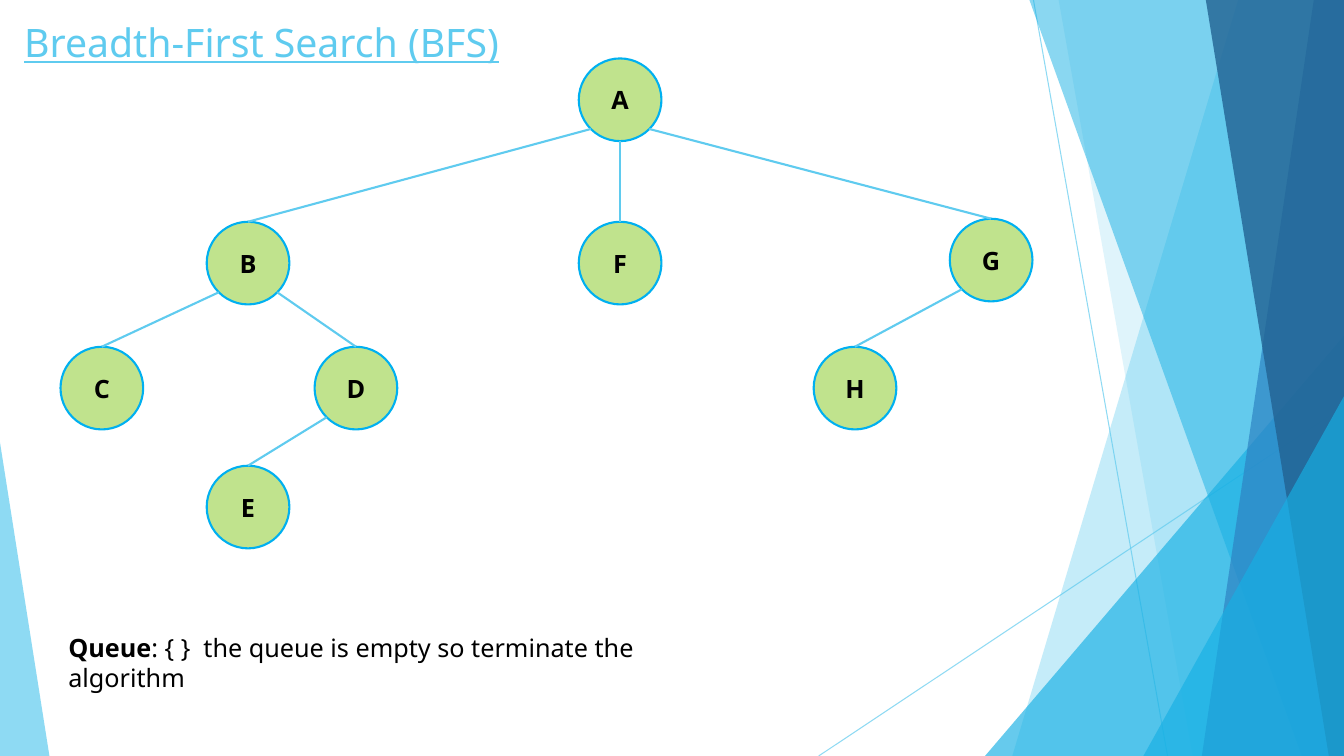
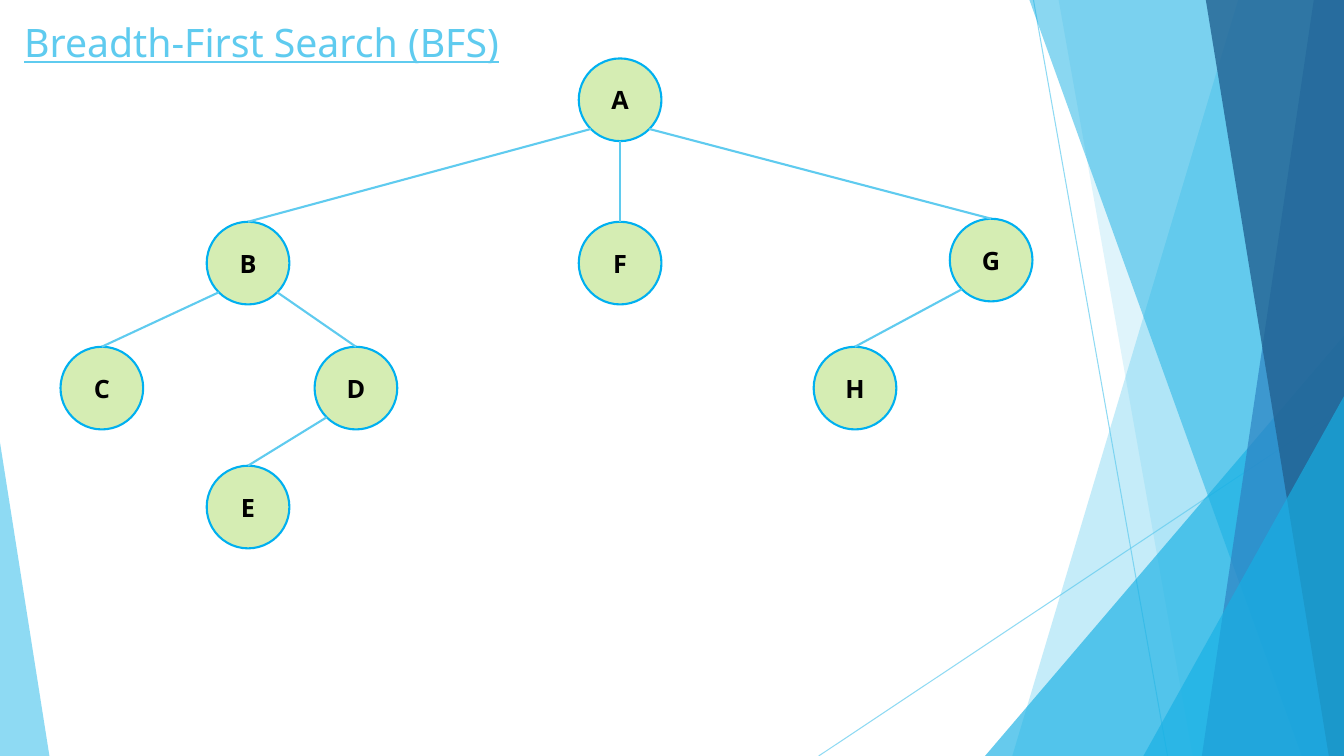
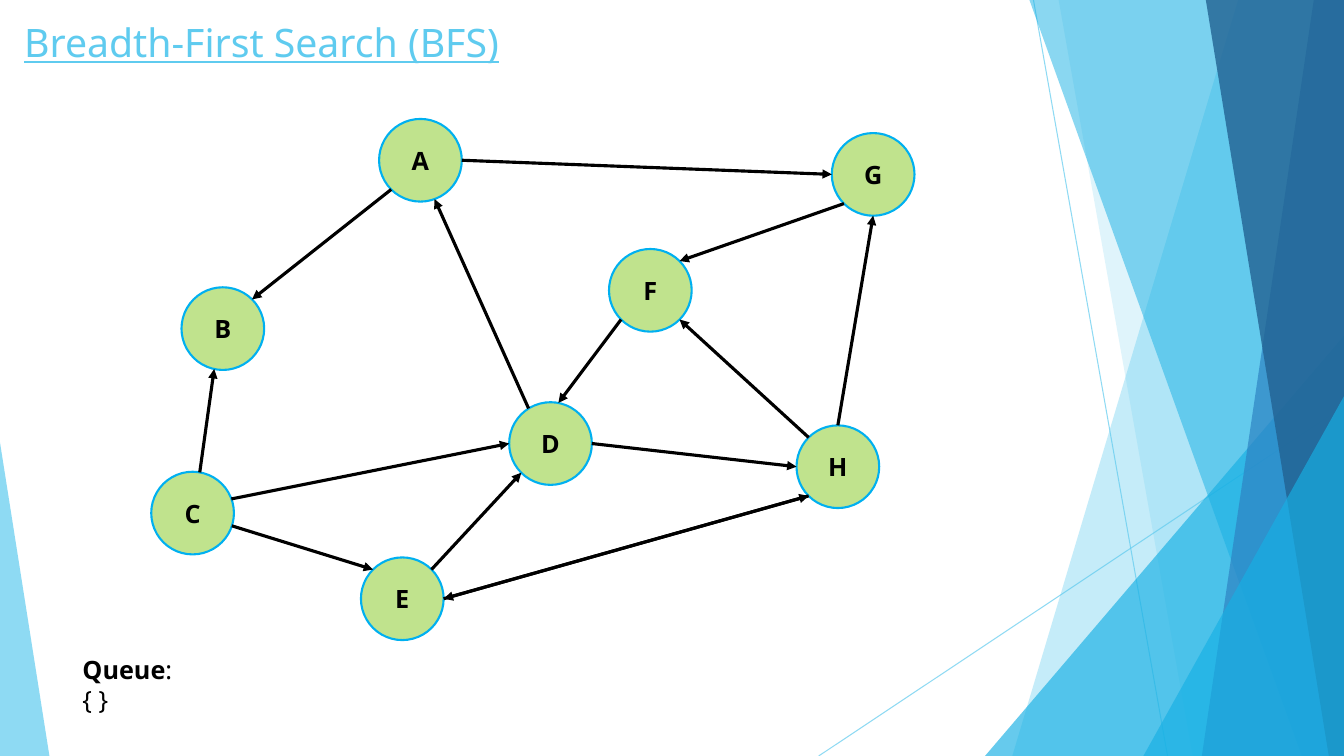
from math import cos, radians, sin

from pptx import Presentation
from pptx.dml.color import RGBColor
from pptx.enum.shapes import MSO_CONNECTOR as Connector, MSO_SHAPE as Shape
from pptx.enum.text import MSO_ANCHOR as Anchor, PP_ALIGN as Align
from pptx.oxml.ns import qn
from pptx.util import Inches, Pt

FONT = "Noto Sans"
BLACK = RGBColor(0x00, 0x00, 0x00)
SKY = RGBColor(0x5F, 0xCB, 0xEF)
CYAN = RGBColor(0x17, 0xB0, 0xE4)
BLUE = RGBColor(0x2E, 0x83, 0xC3)
NAVY = RGBColor(0x22, 0x62, 0x92)
RING = RGBColor(0x00, 0xB0, 0xF0)
GREEN = RGBColor(0xC0, 0xE3, 0x8D)
PALE_GREEN = RGBColor(0xD5, 0xED, 0xB3)

WIDTH, HEIGHT = 13.33, 7.5
NODE = 0.82
TITLE = "Breadth-First Search (BFS)"

# Ellipse sites, in degrees clockwise from the right
RIGHT, LOW_RIGHT, BOTTOM, LOW_LEFT, LEFT, TOP_LEFT, TOP, TOP_RIGHT = range(0, 360, 45)

# Background, back to front
RAYS = [((10.25, 0), (11.58, HEIGHT)), ((WIDTH, 4.03), (8.12, HEIGHT))]
# Bands run to the right edge: (top x, bottom x, colour, opacity)
# Triangles: (left, top, width, apex share, colour, opacity)
PANES = [
    ("band", (12.28, 10.04, SKY, 36)),
    ("band", (10.5, 11.83, SKY, 20)),
    ("triangle", (9.77, 3.33, 3.56, 1, CYAN, 66)),
    ("band", (10.21, 12.91, CYAN, 50)),
    ("band", (13.03, 11.92, BLUE, 70)),
    ("band", (11.96, 13.18, NAVY, 80)),
    ("triangle", (11.34, 3.93, 1.99, 1, CYAN, 66)),
    ("triangle", (0, 4.39, 0.49, 0, SKY, 70)),
]

# Left and top of each node
TREE_NODES = {
    "A": (5.74, 0.58), "B": (2.05, 2.2), "F": (5.74, 2.2), "G": (9.42, 2.17),
    "C": (0.6, 3.44), "D": (3.12, 3.44), "H": (8.07, 3.44), "E": (2.05, 4.62),
}
GRAPH_NODES = {
    "A": (3.76, 1.18), "B": (1.8, 2.85), "C": (1.5, 4.68), "D": (5.05, 3.99),
    "E": (3.58, 5.53), "F": (6.04, 2.47), "G": (8.25, 1.32), "H": (7.9, 4.22),
}
# Start node, its site, end node, its site
TREE_EDGES = [
    ("A", LOW_LEFT, "B", TOP), ("A", LOW_RIGHT, "G", TOP), ("A", BOTTOM, "F", TOP),
    ("B", LOW_LEFT, "C", TOP), ("B", LOW_RIGHT, "D", TOP),
    ("D", LOW_LEFT, "E", TOP), ("G", LOW_LEFT, "H", TOP),
]
GRAPH_EDGES = [
    ("C", 280, "B", 102), ("C", 340, "D", LEFT), ("C", 18, "E", TOP_LEFT),
    ("D", 238, "A", 70), ("A", LOW_LEFT, "B", TOP_RIGHT), ("A", RIGHT, "G", LEFT),
    ("F", LOW_LEFT, "D", 281), ("E", TOP_RIGHT, "D", LOW_LEFT),
    ("H", LOW_LEFT, "E", RIGHT), ("E", RIGHT, "H", LOW_LEFT),
    ("D", RIGHT, "H", LEFT), ("H", TOP, "G", BOTTOM),
    ("H", TOP_LEFT, "F", LOW_RIGHT), ("G", LOW_LEFT, "F", TOP_RIGHT),
]
TREE_LINE = (SKY, 1.5, False)
GRAPH_LINE = (BLACK, 2.25, True)

# Nodes, node colour, edges, edge style, queue note (left, top, width, text)
SLIDES = [
    (TREE_NODES, GREEN, TREE_EDGES, TREE_LINE,
     (0.58, 6.22, 6.87, ": { }  the queue is empty so terminate the algorithm")),
    (TREE_NODES, PALE_GREEN, TREE_EDGES, TREE_LINE, None),
    (GRAPH_NODES, GREEN, GRAPH_EDGES, GRAPH_LINE, (0.72, 6.44, 1.4, ": { }")),
]


def set_opacity(shape, percent):
    """Make the solid colour of a shape's fill or line partly transparent."""
    color = next(shape.element.spPr.iter(qn("a:srgbClr")))
    color.makeelement(qn("a:alpha"))
    alpha = color.makeelement(qn("a:alpha"), {"val": str(percent * 1000)})
    color.append(alpha)


def add_line(page, start, end, color, weight, arrow=False):
    """Draw a straight line between two points, with an arrowhead if asked."""
    line = page.shapes.add_connector(
        Connector.STRAIGHT, *(Inches(value) for value in (*start, *end)))
    line.line.color.rgb = color
    line.line.width = Pt(weight)
    if arrow:
        outline = line.line._get_or_add_ln()
        outline.append(outline.makeelement(qn("a:tailEnd"), {"type": "triangle"}))
    properties = line.element.spPr
    properties.append(properties.makeelement(qn("a:effectLst")))
    return line


def add_band(page, top_x, bottom_x):
    """Draw a full-height band from a slanted edge to the right of the slide."""
    builder = page.shapes.build_freeform(Inches(top_x), 0)
    corners = [(WIDTH, 0), (WIDTH, HEIGHT), (bottom_x, HEIGHT)]
    builder.add_line_segments([(Inches(x), Inches(y)) for x, y in corners])
    return builder.convert_to_shape()


def add_triangle(page, left, top, width, apex):
    """Draw a right triangle standing on the bottom of the slide."""
    triangle = page.shapes.add_shape(
        Shape.ISOSCELES_TRIANGLE, Inches(left), Inches(top), Inches(width),
        Inches(HEIGHT - top))
    triangle.adjustments[0] = apex
    return triangle


def decorate(layout, page):
    """Draw the background on a page and hand it to the layout."""
    parts = []
    for start, end in RAYS:
        ray = add_line(page, start, end, SKY, 0.75)
        set_opacity(ray, 70)
        parts.append(ray)
    makers = {"band": add_band, "triangle": add_triangle}
    for kind, (*place, color, opacity) in PANES:
        pane = makers[kind](page, *place)
        pane.shadow.inherit = False
        pane.fill.solid()
        pane.fill.fore_color.rgb = color
        pane.line.fill.background()
        set_opacity(pane, opacity)
        parts.append(pane)
    for number, part in enumerate(parts, start=101):
        next(part.element.iter(qn("p:cNvPr"))).set("id", str(number))
        layout.shapes.element.append(part.element)


def set_title(page):
    """Place and style the title."""
    title = page.shapes.title
    title.left, title.top = Inches(0.14), Inches(0.13)
    title.width, title.height = Inches(7.03), Inches(1.06)
    title.text_frame.text = TITLE
    title.text_frame.vertical_anchor = Anchor.TOP
    para = title.text_frame.paragraphs[0]
    para.alignment = Align.LEFT
    font = para.font
    font.name, font.size, font.underline = FONT, Pt(28), True
    font.color.rgb = SKY


def style_body(para):
    """Give a paragraph the font of node letters and notes."""
    para.font.name, para.font.size = FONT, Pt(18)
    para.font.color.rgb = BLACK


def add_node(page, letter, left, top, color):
    """Draw a lettered circle."""
    node = page.shapes.add_shape(
        Shape.OVAL, Inches(left), Inches(top), Inches(NODE), Inches(NODE))
    node.shadow.inherit = False
    node.fill.solid()
    node.fill.fore_color.rgb = color
    node.line.color.rgb = RING
    node.line.width = Pt(1.5)
    node.text_frame.text = letter
    node.text_frame.vertical_anchor = Anchor.MIDDLE
    para = node.text_frame.paragraphs[0]
    para.alignment = Align.CENTER
    style_body(para)
    para.font.bold = True


def site(corner, degrees):
    """Return the point of a node's rim at an angle."""
    radius, angle = NODE / 2, radians(degrees)
    left, top = corner
    return left + radius * (1 + cos(angle)), top + radius * (1 + sin(angle))


def add_note(page, left, top, width, text):
    """Write the state of the queue."""
    box = page.shapes.add_textbox(
        Inches(left), Inches(top), Inches(width), Inches(0.4))
    box.text_frame.word_wrap = True
    box.text_frame.margin_right = Inches(0.15)
    para = box.text_frame.paragraphs[0]
    style_body(para)
    label = para.add_run()
    label.text, label.font.bold = "Queue", True
    para.add_run().text = text


def main():
    """Build the deck."""
    deck = Presentation()
    deck.slide_width, deck.slide_height = Inches(WIDTH), Inches(HEIGHT)
    layout = deck.slide_layouts.get_by_name("Title Only")
    pages = [deck.slides.add_slide(layout) for _ in SLIDES]
    decorate(layout, pages[0])
    for page, (nodes, color, edges, line_style, note) in zip(pages, SLIDES):
        set_title(page)
        for letter, corner in nodes.items():
            add_node(page, letter, *corner, color)
        for start, start_site, end, end_site in edges:
            add_line(page, site(nodes[start], start_site),
                     site(nodes[end], end_site), *line_style)
        if note:
            add_note(page, *note)
    deck.save("out.pptx")


main()
